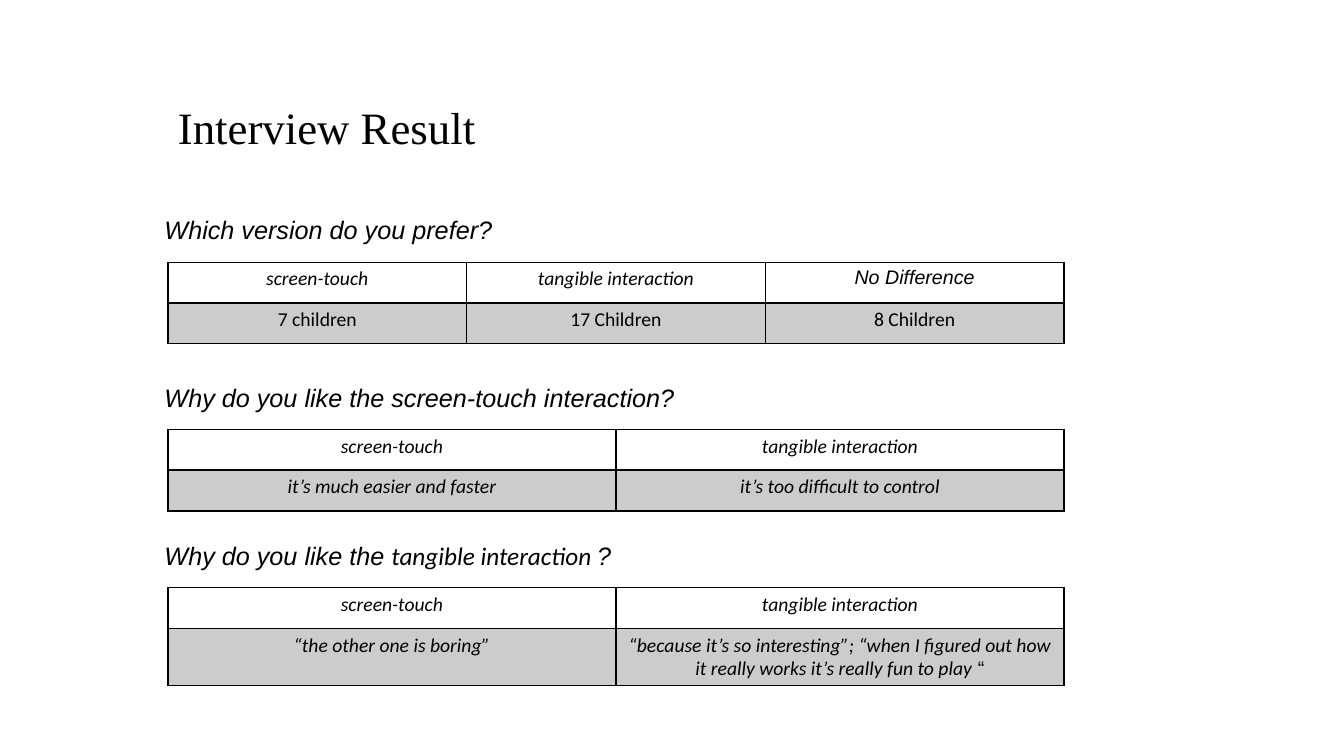
from dataclasses import dataclass

from lxml import etree
from pptx import Presentation
from pptx.dml.color import RGBColor
from pptx.enum.text import MSO_ANCHOR, PP_ALIGN
from pptx.oxml.ns import qn
from pptx.util import Inches, Pt

CENTER, LEFT = PP_ALIGN.CENTER, PP_ALIGN.LEFT
TOP, BOTTOM = MSO_ANCHOR.TOP, MSO_ANCHOR.BOTTOM

WIDTH, HEIGHT = Inches(13.33), Inches(7.5)
COL, ROW = WIDTH / 12, HEIGHT / 100
TABLE_LEFT, TABLE_COLS = 1.5, 8
HEADING_LEFT, HEADING_RISE = 1.38, 6.93
COLORS = {"ink": "000000"}
SHADE_ALPHA = 20


@dataclass
class Span:
    text: str
    font: str = "Calibri"
    italic: bool = True


@dataclass
class Question:
    top: float
    heading: list[Span]
    rows: list[list[list[Span]]]
    row_heights: tuple[float, float] = (5.4, 5.4)
    rule: float = 2


HEADERS = [[Span("screen-touch")], [Span("tangible interaction")]]

QUESTIONS = [
    Question(
        34.67,
        [Span("Which version do you prefer?", "Arial")],
        [
            HEADERS + [[Span("No Difference", "Arial")]],
            [[Span(text, italic=False)]
             for text in ("7 children", "17 Children", "8 Children")],
        ],
    ),
    Question(
        56.8,
        [Span("Why do you like the screen-touch interaction?", "Arial")],
        [
            HEADERS,
            [[Span("it’s much easier and faster")],
             [Span("it’s too difficult to control")]],
        ],
    ),
    Question(
        77.73,
        [Span("Why do you like the ", "Arial"),
         Span("tangible interaction "), Span("?", "Arial")],
        [
            HEADERS,
            [[Span("“the other one is boring”")],
             [Span("“because it’s so interesting”; “when I figured out "
                   "how it really works it’s really fun to play"),
              Span(" “", "Arial", False)]],
        ],
        (5.4, 7.53),
        1,
    ),
]


def write(tf, spans: list[Span], size: float, align=LEFT) -> None:
    p = tf.paragraphs[0]
    p.alignment = align
    p.font.size = Pt(size)
    p.font.color.rgb = RGBColor.from_string(COLORS["ink"])
    same_font = len({span.font for span in spans}) == 1
    same_slant = len({span.italic for span in spans}) == 1
    if same_font:
        p.font.name = spans[0].font
    if same_slant:
        p.font.italic = spans[0].italic
    for span in spans:
        r = p.add_run()
        r.text = span.text
        if not same_font:
            r.font.name = span.font
        if not same_slant:
            r.font.italic = span.italic


def add_text(s, left: float, top: float, cols: float, rows: float,
             spans: list[Span], size: float, anchor=TOP):
    box = s.shapes.add_textbox(int(left * COL), int(top * ROW),
                               int(cols * COL), int(rows * ROW))
    tf = box.text_frame
    tf.word_wrap = True
    tf.vertical_anchor = anchor
    write(tf, spans, size)
    return tf


def set_borders(cell, widths: dict[str, float]) -> None:
    tc_pr = cell._tc.get_or_add_tcPr()
    for side, width in widths.items():
        ln = etree.SubElement(tc_pr, qn(f"a:ln{side}"), w=str(Pt(width)))
        fill = etree.SubElement(ln, qn("a:solidFill"))
        etree.SubElement(fill, qn("a:srgbClr"), val=COLORS["ink"])


def shade(cell) -> None:
    cell.fill.solid()
    cell.fill.fore_color.rgb = RGBColor.from_string(COLORS["ink"])
    color = cell._tc.tcPr.find(f"{qn('a:solidFill')}/{qn('a:srgbClr')}")
    etree.SubElement(color, qn("a:alpha"), val=str(SHADE_ALPHA * 1000))


def add_question(s, question: Question) -> None:
    count = len(question.rows[0])
    table = s.shapes.add_table(
        len(question.rows), count, int(TABLE_LEFT * COL),
        int(question.top * ROW), int(TABLE_COLS * COL),
        int(sum(question.row_heights) * ROW)).table
    table.first_row = table.horz_banding = False
    for i, (row, height) in enumerate(zip(question.rows, question.row_heights)):
        table.rows[i].height = int(height * ROW)
        for j, spans in enumerate(row):
            cell = table.cell(i, j)
            write(cell.text_frame, spans, 14, CENTER)
            is_header = i == 0
            set_borders(cell, {"L": 1, "R": 1,
                               "T": 1 if is_header else question.rule,
                               "B": question.rule if is_header else 1})
            if is_header:
                cell.fill.background()
            else:
                shade(cell)
    add_text(s, HEADING_LEFT, question.top - HEADING_RISE, 6, 5.4,
             question.heading, 18)


def main() -> None:
    prs = Presentation()
    prs.slide_width, prs.slide_height = WIDTH, HEIGHT
    s = prs.slides.add_slide(prs.slide_layouts[6])
    title = add_text(s, TABLE_LEFT, 12.67, 9, 8.4,
                     [Span("Interview Result", "Times New Roman", False)],
                     32, BOTTOM)
    title.paragraphs[0].line_spacing = 0.9
    for question in QUESTIONS:
        add_question(s, question)
    prs.save("out.pptx")


if __name__ == "__main__":
    main()
